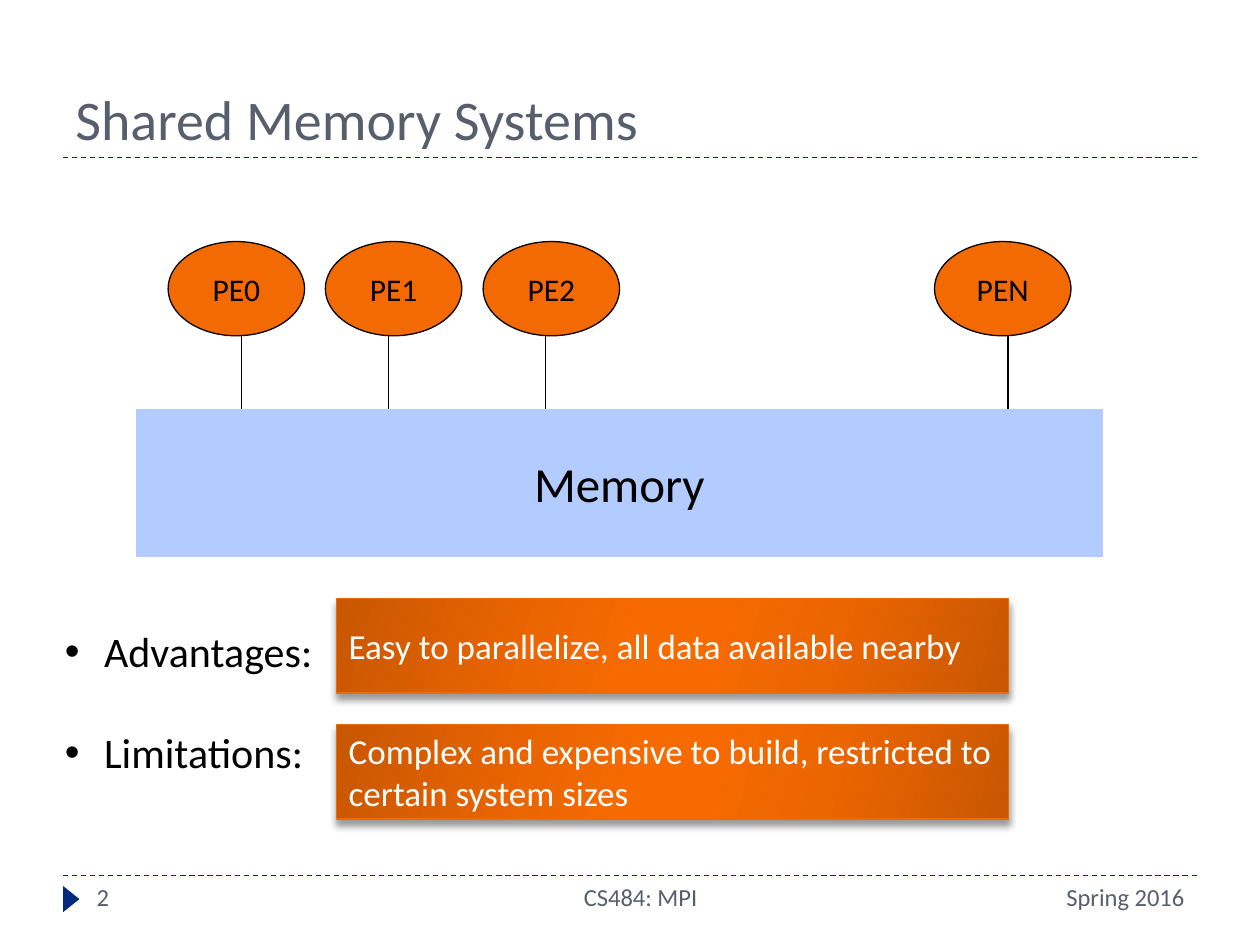
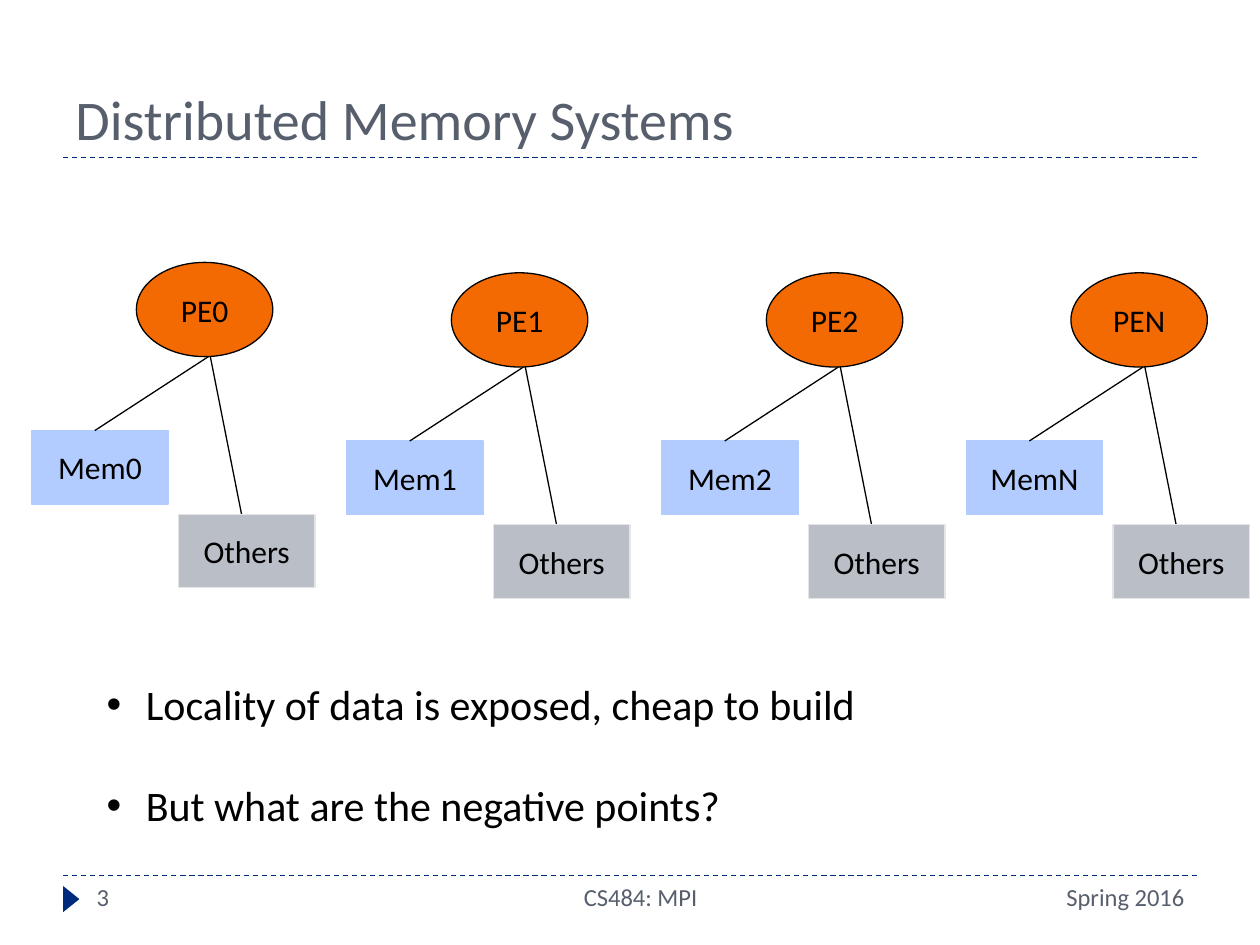
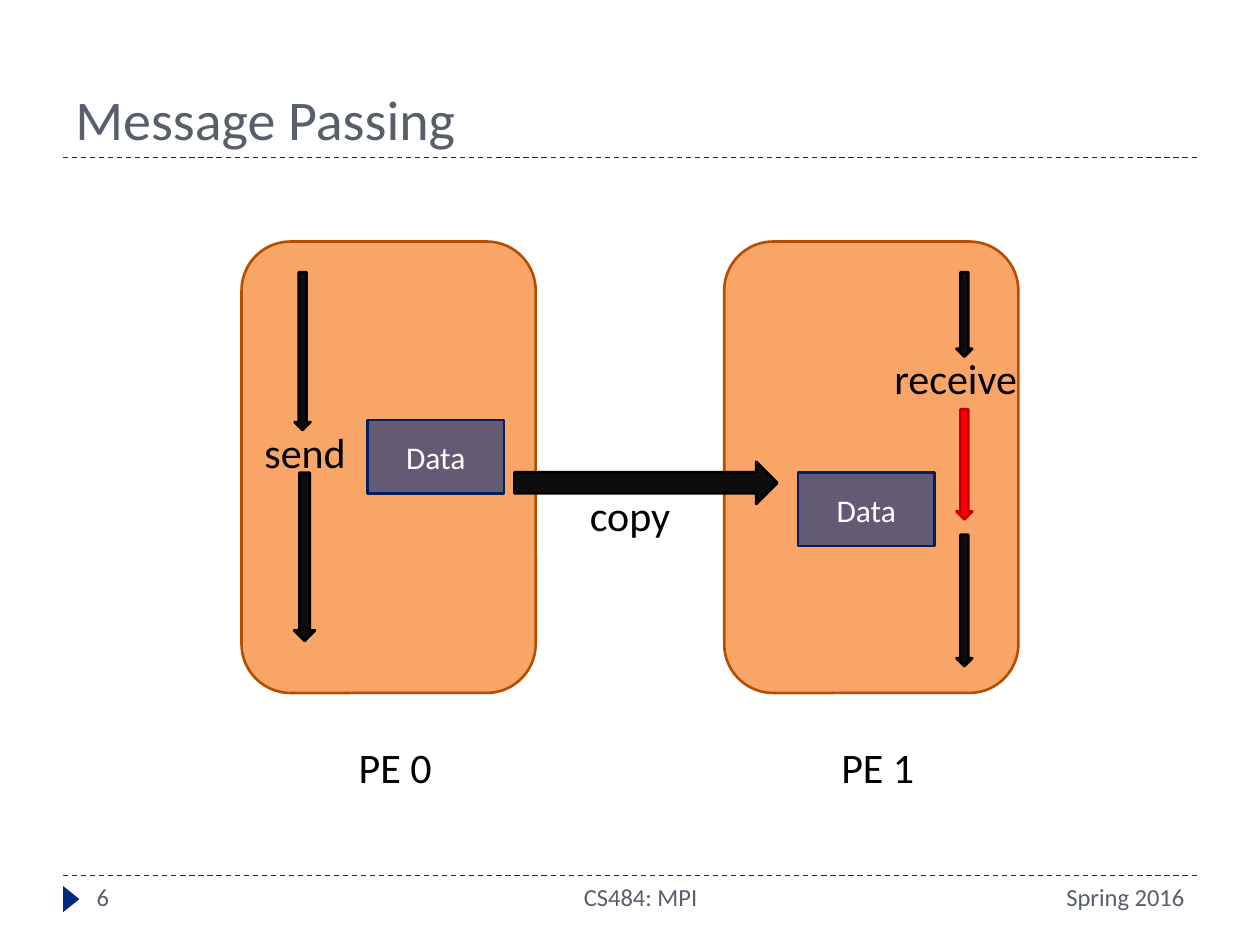
from pptx import Presentation
from pptx.dml.color import RGBColor
from pptx.enum.dml import MSO_LINE as Dash
from pptx.enum.shapes import MSO_CONNECTOR as Link, MSO_SHAPE as Form
from pptx.enum.text import MSO_ANCHOR as Anchor, PP_ALIGN as Align
from pptx.oxml import parse_xml
from pptx.oxml.ns import nsdecls, qn
from pptx.util import Cm, Pt
from lxml.etree import SubElement as Sub

FONT = "Calibri"
NAVY, SLATE, ORANGE, SKY = "002A7E", "575F6D", "F46A02", "B2CCFF"
BLACK, WHITE, COAL = "000000", "FFFFFF", "0D0D0D"
STOPS = [(0, "C85702"), (30, "EB6500"), (45, "F66A00"),
         (55, "F66A00"), (73, "EB6500"), (100, "C85702")]
NODE = (2.75, 1.9)
BLOCK = (2.75, 1.48)

SHARED = {
    "title": "Shared Memory Systems", "page": "2",
    "nodes": [("PE0", 3.39, 4.87), ("PE1", 6.56, 7.83),
              ("PE2", 9.74, 11), ("PEN", 18.84, 20.32)],
    "points": ["Advantages:", "Limitations:"],
    "notes": ["Easy to parallelize, all data available nearby",
              "Complex and expensive to build, restricted to certain system sizes"],
}
SPREAD = {
    "title": "Distributed Memory Systems", "page": "3",
    "nodes": [("0", 0.64, 5.29), ("1", 6.99, 5.5),
              ("2", 13.34, 5.5), ("N", 19.48, 5.5)],
    "points": ["Locality of data is exposed, cheap to build",
               "But what are the negative points?"],
}
PASSING = {
    "title": "Message Passing", "page": "6",
    "panels": [("PE 0", 4.87), ("PE 1", 14.6)],
    "data": [(7.41, 8.47), (16.09, 9.53)],
    "labels": [("send", 5.08, 8.47, 2.18), ("receive", 17.78, 6.99, 3.02),
               ("copy", 11.64, 9.74, 2.16)],
    "steps": [(6.1, 5.49, 3.18, 0.32, COAL, BLACK),
              (6.14, 9.53, 3.39, 0.42, COAL, BLACK),
              (19.44, 5.49, 1.7, 0.32, COAL, BLACK),
              (19.44, 10.78, 2.65, 0.32, COAL, BLACK),
              (19.44, 8.25, 2.22, 0.32, "FF0000", "C00000")],
}


def color(code):
    return RGBColor.from_string(code)


def place(*box):
    return [Cm(n) for n in box]


def write(para, text, size, tint=BLACK, align=Align.LEFT):
    para.alignment = align
    run = para.add_run()
    run.text = text
    font = run.font
    font.name, font.size = FONT, Pt(size)
    font.color.rgb = color(tint)


def label(slide, text, box, size=24, tint=BLACK, align=Align.LEFT,
          anchor=Anchor.TOP, wrap=True):
    frame = slide.shapes.add_textbox(*place(*box)).text_frame
    frame.word_wrap, frame.vertical_anchor = wrap, anchor
    write(frame.paragraphs[0], text, size, tint, align)


def draw(slide, form, box, fill, edge=None, width=0.75, alpha=None):
    shape = slide.shapes.add_shape(form, *place(*box))
    shape.shadow.inherit = False
    shape.fill.solid()
    shape.fill.fore_color.rgb = color(fill)
    if alpha:
        tone = shape.element.spPr.find(qn("a:solidFill"))[0]
        Sub(tone, qn("a:alpha")).set("val", str(alpha * 1000))
    if edge:
        shape.line.color.rgb = color(edge)
        shape.line.width = Pt(width)
    else:
        shape.line.fill.background()
    return shape


def fill_in(shape, text, size=18, tint=BLACK, align=Align.CENTER, wrap=False):
    frame = shape.text_frame
    frame.word_wrap, frame.vertical_anchor = wrap, Anchor.MIDDLE
    write(frame.paragraphs[0], text, size, tint, align)


def wire(slide, start, end, tint=BLACK, dash=None):
    line = slide.shapes.add_connector(Link.STRAIGHT, *place(*start, *end))
    line.line.color.rgb = color(tint)
    line.line.width = Pt(0.75)
    if dash:
        line.line.dash_style = dash
    Sub(line.element.spPr, qn("a:effectLst"))


def bullets(slide, points, box):
    frame = slide.shapes.add_textbox(*place(*box)).text_frame
    frame.word_wrap = True
    for i, text in enumerate(points):
        para = frame.add_paragraph() if i else frame.paragraphs[0]
        write(para, text, 24)
        if i:
            para.space_before = Pt(29)
        props = para._p.get_or_add_pPr()
        props.set("marL", str(Cm(0.79)))
        props.set("indent", str(-Cm(0.79)))
        Sub(props, qn("a:buFont")).set("typeface", "Arial")
        Sub(props, qn("a:buChar")).set("char", "•")


def glow(shape):
    stops = "".join(f'<a:gs pos="{at * 1000}"><a:srgbClr val="{tint}"/></a:gs>'
                    for at, tint in STOPS)
    spec = shape.element.spPr
    spec.replace(spec.find(qn("a:solidFill")), parse_xml(
        f'<a:gradFill {nsdecls("a")} rotWithShape="1"><a:gsLst>{stops}</a:gsLst>'
        '<a:lin ang="960000" scaled="0"/></a:gradFill>'))
    spec.find(qn("a:effectLst")).append(parse_xml(
        f'<a:outerShdw {nsdecls("a")} blurRad="{Pt(4)}" dist="{Pt(3.4)}" '
        'dir="5400000" rotWithShape="0"><a:srgbClr val="000000">'
        '<a:alpha val="40000"/></a:srgbClr></a:outerShdw>'))


def start(deck, data):
    slide = deck.slides.add_slide(deck.slide_layouts[6])
    for y in (17.65, 3.18):
        wire(slide, (1.27, y), (24.13, y), NAVY, Dash.DASH)
    draw(slide, Form.ISOSCELES_TRIANGLE, (1.17, 17.96, 0.53, 0.33), NAVY).rotation = 90
    label(slide, data["title"], (1.27, 0.64, 22.86, 2.54), 32, SLATE,
          anchor=Anchor.BOTTOM)
    for text, x, wide, align in ((data["page"], 1.7, 5.5, Align.LEFT),
                                 ("CS484: MPI", 8.05, 9.73, Align.CENTER),
                                 ("Spring 2016", 17.78, 6.35, Align.RIGHT)):
        label(slide, text, (x, 17.65, wide, 1.02), 14, SLATE, align)
    return slide


def shared(deck, data):
    slide = start(deck, data)
    for name, x, stem in data["nodes"]:
        fill_in(draw(slide, Form.OVAL, (x, 4.87, *NODE), ORANGE, BLACK), name)
        wire(slide, (stem, 6.77), (stem, 8.26))
    fill_in(draw(slide, Form.RECTANGLE, (2.75, 8.26, 19.47, 2.96), SKY, SKY),
            "Memory", 28)
    bullets(slide, data["points"], (1.06, 12.49, 22.01, 3.32))
    for i, text in enumerate(data["notes"]):
        note = draw(slide, Form.RECTANGLE, (6.78, 12.07 + i * 2.54, 13.55, 1.9),
                    ORANGE, ORANGE)
        glow(note)
        fill_in(note, text, 20, WHITE, Align.LEFT, True)


def spread(deck, data):
    slide = start(deck, data)
    for tag, x, y in data["nodes"]:
        mem, rest = y + 3.39, y + 5.08
        fill_in(draw(slide, Form.OVAL, (x + 2.11, y, *NODE), ORANGE, BLACK), "PE" + tag)
        fill_in(draw(slide, Form.RECTANGLE, (x, mem, *BLOCK), SKY, SKY), "Mem" + tag)
        wire(slide, (x + 3.56, y + 1.9), (x + 1.27, mem))
        wire(slide, (x + 3.6, y + 1.9), (x + 4.23, rest))
        fill_in(draw(slide, Form.RECTANGLE, (x + 2.96, rest, *BLOCK),
                     "B9BEC7", "E4E5E6"), "Others")
    bullets(slide, data["points"], (1.9, 13.55, 21.39, 3.32))


def passing(deck, data):
    slide = start(deck, data)
    for name, x in data["panels"]:
        draw(slide, Form.ROUNDED_RECTANGLE, (x, 4.87, 5.93, 9.1), ORANGE,
             "B54E01", 1.5, 60)
        label(slide, name, (x + 2.11, 14.82, 2.01, 1.3), wrap=False)
    for x, y in data["data"]:
        fill_in(draw(slide, Form.RECTANGLE, (x, y, *BLOCK), NAVY, "001F5E", 1.5, 60),
                "Data", tint=WHITE, wrap=True)
    draw(slide, Form.RIGHT_ARROW, (10.37, 9.31, 5.3, 0.85), COAL, BLACK, 1.5)
    for mid, top, size, wide, fill, edge in data["steps"]:
        box = (mid - size / 2, top + (size - wide) / 2, size, wide)
        draw(slide, Form.RIGHT_ARROW, box, fill, edge, 1.5).rotation = 90
    for text, x, y, wide in data["labels"]:
        label(slide, text, (x, y, wide, 1.3), wrap=False)


def main():
    deck = Presentation()
    deck.slide_width, deck.slide_height = Cm(25.4), Cm(19.05)
    shared(deck, SHARED)
    spread(deck, SPREAD)
    passing(deck, PASSING)
    deck.save("out.pptx")


if __name__ == "__main__":
    main()
